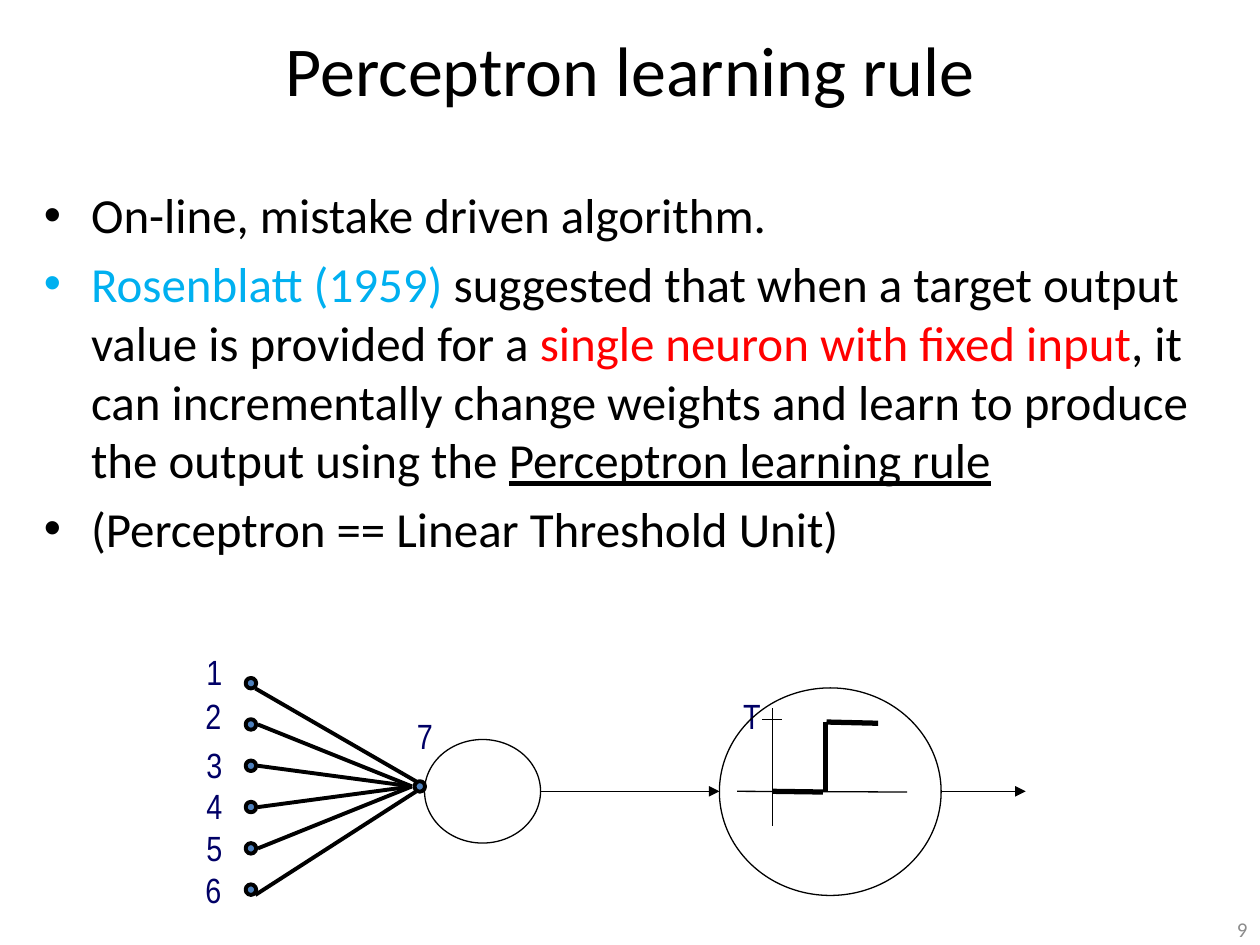
import pptx
import pptx.dml.color
import pptx.enum.shapes
import pptx.enum.text
import pptx.oxml
import pptx.util
from pptx.oxml.ns import qn

Pt = pptx.util.Pt
ALIGN = pptx.enum.text.PP_ALIGN
ANCHOR = pptx.enum.text.MSO_ANCHOR
FIT = pptx.enum.text.MSO_AUTO_SIZE
BLACK, BLUE, NAVY = "000000", "4F81BD", "000066"

TITLE = "Perceptron learning rule"
BULLETS = [
    [("On-line, mistake driven algorithm.", BLACK, False)],
    [("Rosenblatt (1959) ", "00B0F0", False),
     ("suggested that when a target output value is provided for a ", BLACK, False),
     ("single neuron with fixed input", "FF0000", False),
     (", it can incrementally change weights and learn to produce the output using the ",
      BLACK, False),
     ("Perceptron learning rule", BLACK, True)],
    [("(Perceptron == Linear Threshold Unit)", BLACK, False)],
]
PAGE_NUMBER = "9"

# Network geometry, in points
DOT = 6
INPUT_LEFT, INPUT_TOP, INPUT_STEP = 140.4, 387.4, 23.6
OUTPUT_DOT = (236.9, 446.4)
LABELS = [("1", 110.9, 367.9), ("2", 110.2, 393.1), ("3", 110.9, 421.2),
          ("4", 110.9, 445), ("5", 110.9, 468.7), ("6", 110.2, 492.5),
          ("7", 231.1, 404.6), ("T", 417.6, 393.1)]
SUM_UNIT = (242.6, 422.6, 66.3, 59.2)
THRESHOLD_UNIT = (411.1, 393.1, 126.7, 118.6)
AXIS_Y = 452.2
AXES = [((421.2, AXIS_Y), (518.4, 452.6)), ((441.4, 404.6), (441.4, 472.3)),
        ((435.6, 411.1), (447.1, 411.1))]
STEP = [((441.4, AXIS_Y), (470.2, 452.6)), ((471.6, AXIS_Y), (471.6, 412.6)),
        ((472.3, 412.6), (501.8, 413.3))]
ARROWS = [((308.9, AXIS_Y), (411.1, AXIS_Y)), ((537.8, AXIS_Y), (586.1, AXIS_Y))]


def rgb(value):
    return pptx.dml.color.RGBColor.from_string(value)


def set_all(target, formats):
    for name, value in formats.items():
        setattr(target, name, value)


def place(shape, left, top, width, height):
    set_all(shape, {"left": Pt(left), "top": Pt(top),
                    "width": Pt(width), "height": Pt(height)})


def add_span(para, text, size, color, font="Calibri", **formats):
    span = para.add_run()
    span.text = text
    set_all(span.font, {"name": font, "size": Pt(size), **formats})
    span.font.color.rgb = rgb(color)


def add_box(page, left, top, width, height, **formats):
    box = page.shapes.add_textbox(Pt(left), Pt(top), Pt(width), Pt(height))
    set_all(box.text_frame, {"word_wrap": True, **formats})
    return box.text_frame


def add_bullet(para):
    """Give a paragraph a hanging round bullet."""
    properties = para._p.get_or_add_pPr()
    properties.set("marL", str(Pt(27)))
    properties.set("indent", str(-Pt(27)))
    for tag, name, value in (("a:buFont", "typeface", "Arial"), ("a:buChar", "char", "•")):
        properties.append(properties.makeelement(qn(tag), {name: value}))


def add_ellipse(page, left, top, width, height, weight, fill=None):
    shape = page.shapes.add_shape(pptx.enum.shapes.MSO_SHAPE.OVAL,
                                  Pt(left), Pt(top), Pt(width), Pt(height))
    shape.shadow.inherit = False
    if fill:
        shape.fill.solid()
        shape.fill.fore_color.rgb = rgb(fill)
    else:
        shape.fill.background()
    shape.line.color.rgb = rgb(BLACK)
    shape.line.width = Pt(weight)


def add_line(page, start, end, weight, arrow=False):
    line = page.shapes.add_connector(pptx.enum.shapes.MSO_CONNECTOR.STRAIGHT,
                                     *(Pt(value) for value in (*start, *end)))
    line.line.color.rgb = rgb(BLACK)
    line.line.width = Pt(weight)
    if arrow:
        outline = line.line._get_or_add_ln()
        outline.append(outline.makeelement(qn("a:tailEnd"), {"type": "triangle"}))
    properties = line._element.spPr
    properties.append(properties.makeelement(qn("a:effectLst"), {}))


def add_text(page):
    title = page.shapes.title
    place(title, 0, 0, 720, 78)
    title.text_frame.vertical_anchor = ANCHOR.MIDDLE
    para = title.text_frame.paragraphs[0]
    para.alignment = ALIGN.CENTER
    add_span(para, TITLE, 40, BLACK)

    body = add_box(page, 18, 102, 684, 414)
    for index, spans in enumerate(BULLETS):
        para = body.add_paragraph() if index else body.paragraphs[0]
        add_bullet(para)
        if index:
            para.space_before = Pt(5.6)
        for text, color, underline in spans:
            add_span(para, text, 28, color, underline=underline)

    number = add_box(page, 552, 522, 168, 18, vertical_anchor=ANCHOR.MIDDLE)
    number.paragraphs[0].alignment = ALIGN.RIGHT
    add_span(number.paragraphs[0], PAGE_NUMBER, 12, "8C8C8C")


def add_network(page):
    input_tops = [INPUT_TOP + INPUT_STEP * row for row in range(6)]
    for left, top in [OUTPUT_DOT] + [(INPUT_LEFT, top) for top in input_tops]:
        add_ellipse(page, left, top, DOT, DOT, 2.25, BLUE)

    # The outer wires meet the output dot at its corners, the others at its side
    out_x, out_y = OUTPUT_DOT
    last = len(input_tops) - 1
    for row, top in enumerate(input_tops):
        start = (INPUT_LEFT + DOT + 1, top + DOT / 2)
        end = (out_x - 1.5, out_y + DOT / 2)
        if row in (0, last):
            start = (INPUT_LEFT + DOT - 0.5, top + DOT)
            end = (out_x + 0.7, out_y + (DOT if row == last else 0))
        add_line(page, start, end, 2.25)

    for text, left, top in LABELS:
        label = add_box(page, left, top, 24, 35, word_wrap=False,
                        auto_size=FIT.SHAPE_TO_FIT_TEXT)
        add_span(label.paragraphs[0], text, 20, NAVY, "Arial Narrow")

    for unit in (SUM_UNIT, THRESHOLD_UNIT):
        add_ellipse(page, *unit, 0.75)
    for lines, weight, arrow in ((AXES, 0.75, False), (STEP, 3, False), (ARROWS, 0.75, True)):
        for start, end in lines:
            add_line(page, start, end, weight, arrow)


def main():
    deck = pptx.Presentation()
    deck.slide_width, deck.slide_height = Pt(720), Pt(540)
    page = deck.slides.add_slide(deck.slide_layouts[5])
    add_text(page)
    add_network(page)
    deck.save("out.pptx")


if __name__ == "__main__":
    main()
